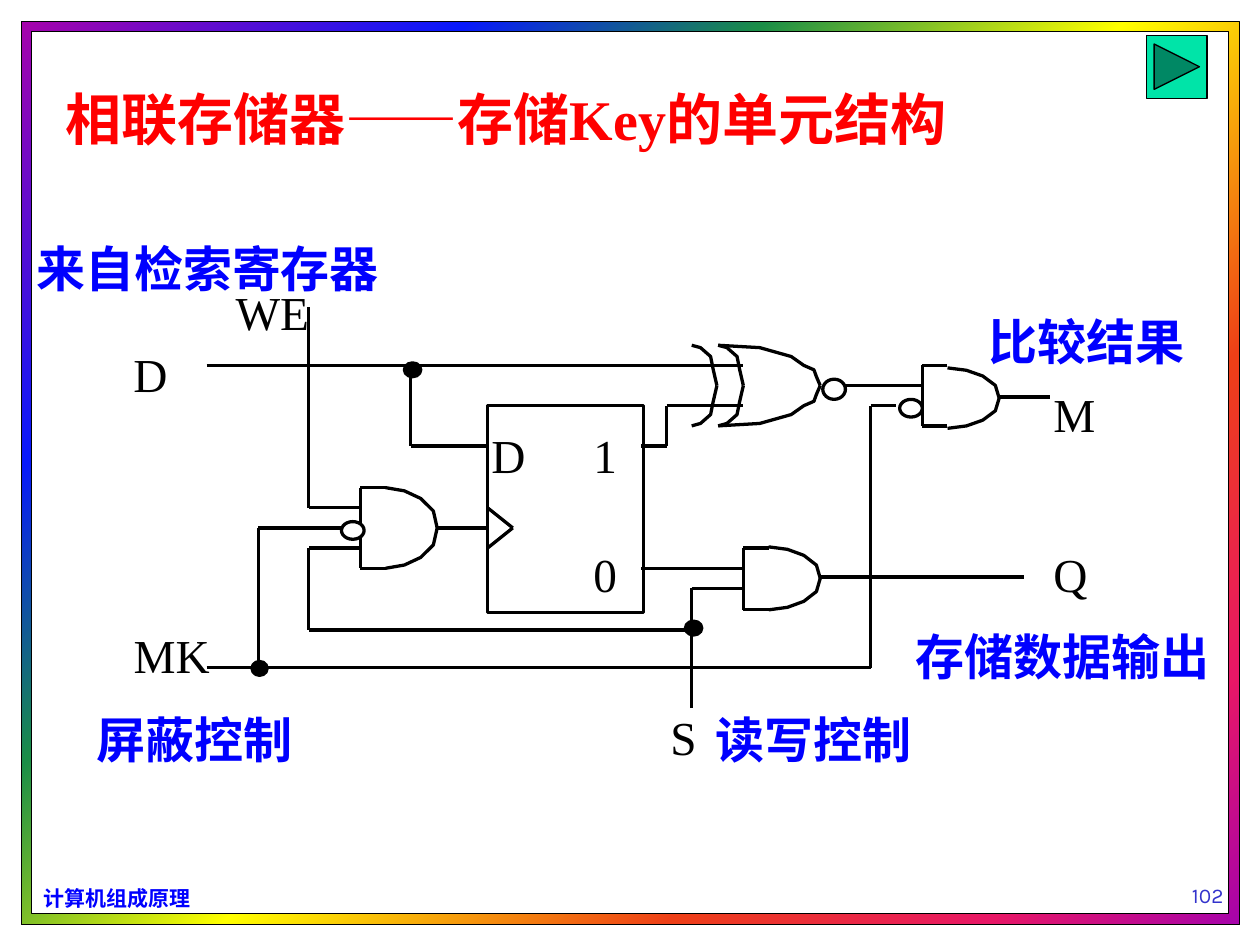
from dataclasses import dataclass

from lxml import etree
from pptx import Presentation
from pptx import util as u
from pptx.dml.color import RGBColor
from pptx.enum import shapes, text
from pptx.oxml.ns import qn

KIND = shapes.MSO_SHAPE
BLACK, WHITE, BLUE, RED = "000000", "FFFFFF", "0000FF", "FF0000"
TIMES = "Times New Roman"
STROKE = 1.88


@dataclass
class Label:
    words: str
    left: float
    top: float
    width: float
    height: float = 0.57
    size: float = 28
    font: str = TIMES
    color: str = BLUE
    bold: bool = True
    inset: float | None = None
    wrap: bool = False
    anchor: text.MSO_ANCHOR = text.MSO_ANCHOR.TOP
    align: text.PP_ALIGN | None = None


@dataclass
class Box:
    kind: shapes.MSO_SHAPE
    left: float
    top: float
    width: float
    height: float
    fill: str | None = None
    line: float = STROKE


@dataclass
class Curve:
    x: float
    mid: float
    half: float
    shape: tuple


AND = ((0, 1), (0.15, 0.92), (0.28, 0.73), (0.38, 0.42), (0.41, 0))
BACK = ((0, 1), (0.07, 0.94), (0.15, 0.72), (0.17, 0.41), (0.2, 0))
FRONT = ((0, 1), (0.33, 0.94), (0.58, 0.72), (0.68, 0.5), (0.76, 0.39),
         (0.78, 0.22), (0.81, 0))

STOPS = ((0, "A603AB"), (21, "0819FB"), (35, "1A8D48"), (52, "FFFF00"),
         (73, "EE3F17"), (88, "E81766"), (100, "A603AB"))

WIRES = [
    [(3.47, 4.19), (3.87, 4.19)],
    [(3.06, 3.87), (2.86, 3.87), (2.86, 4.51), (3.06, 4.51)],
    [(2.45, 2.44), (2.45, 4.03), (2.86, 4.03)],
    [(2.71, 4.19), (2.05, 4.19), (2.05, 5.3)],
    [(2.86, 4.35), (2.45, 4.35), (2.45, 5), (5.49, 5)],
    [(1.64, 2.9), (5.9, 2.9)],
    [(3.26, 2.9), (3.26, 3.54), (3.87, 3.54)],
    [(5.09, 3.54), (5.29, 3.54), (5.29, 3.22), (5.9, 3.22)],
    [(5.09, 4.51), (5.9, 4.51)],
    [(5.49, 5.62), (5.49, 4.67), (5.9, 4.67)],
    [(6.1, 4.35), (5.9, 4.35), (5.9, 4.84), (6.1, 4.84)],
    [(6.51, 4.58), (8.13, 4.58)],
    [(6.71, 3.06), (7.32, 3.06)],
    [(7.52, 2.9), (7.32, 2.9), (7.32, 3.38), (7.52, 3.38)],
    [(7.93, 3.15), (8.33, 3.15)],
    [(1.64, 5.3), (6.91, 5.3), (6.91, 3.22), (7.11, 3.22)],
    [(3.87, 4.03), (4.07, 4.19), (3.87, 4.35)],
]

CURVES = [
    Curve(3.06, 4.19, 0.32, AND),
    Curve(6.1, 4.59, 0.25, AND),
    Curve(7.52, 3.16, 0.24, AND),
    Curve(5.49, 3.06, 0.32, BACK),
    Curve(5.7, 3.06, 0.32, BACK),
    Curve(5.7, 3.06, 0.32, FRONT),
]

BOXES = [
    Box(KIND.RECTANGLE, 3.87, 3.22, 1.24, 1.64),
    Box(KIND.OVAL, 2.71, 4.14, 0.18, 0.14, WHITE),
    Box(KIND.OVAL, 6.53, 3.01, 0.18, 0.16),
    Box(KIND.OVAL, 7.14, 3.17, 0.18, 0.14),
    Box(KIND.OVAL, 3.21, 2.88, 0.13, 0.11, BLACK),
    Box(KIND.OVAL, 5.44, 4.93, 0.13, 0.11, BLACK),
    Box(KIND.OVAL, 2, 5.25, 0.12, 0.11, BLACK),
    Box(KIND.ACTION_BUTTON_FORWARD_OR_NEXT, 9.1, 0.28, 0.48, 0.5,
        "00E4A8", 0.75),
]

PINS = [
    ("0", 4.71, 4.33, 0.35), ("1", 4.71, 3.38, 0.35), ("D", 3.9, 3.38, 0.43),
    ("WE", 1.87, 2.25, 0.76), ("D", 1.06, 2.74, 0.43), ("M", 8.36, 3.06, 0.51),
    ("Q", 8.36, 4.33, 0.46), ("S", 5.32, 5.62, 0.38), ("MK", 1.06, 4.97, 0.81),
]

LABELS = [
    Label("计算机组成原理", 0.25, 6.98, 1.37, 0.3, 12, "Noto Sans CJK SC"),
    Label("102", 9.18, 6.75, 0.81, 0.5, 12, "Karla", "3333CC", False,
          wrap=True, anchor=text.MSO_ANCHOR.BOTTOM, align=text.PP_ALIGN.CENTER),
    Label("相联存储器——存储Key的单元结构", 0.42, 0.5, 9.17, 0.75, 32,
          color=RED, wrap=True, anchor=text.MSO_ANCHOR.BOTTOM),
    Label("比较结果", 7.75, 2.42, 1.76),
    Label("存储数据输出", 7.17, 4.92, 2.55),
    Label("屏蔽控制", 0.67, 5.58, 1.76),
    Label("读写控制", 5.58, 5.58, 1.76),
    Label("来自检索寄存器", 0.19, 1.84, 2.96),
] + [Label(*pin, 0.53, 27, color=BLACK, bold=False, inset=0) for pin in PINS]


def paint(form, color: str) -> None:
    form.solid()
    form.fore_color.rgb = RGBColor.from_string(color)


def ink(line, width: float = STROKE) -> None:
    paint(line.fill, BLACK)
    line.width = u.Pt(width)


def add_box(slide, box: Box):
    form = slide.shapes.add_shape(box.kind, *map(u.Inches, (
        box.left, box.top, box.width, box.height)))
    form.shadow.inherit = False
    if box.fill:
        paint(form.fill, box.fill)
    else:
        form.fill.background()
    ink(form.line, box.line)
    return form


def add_frame(slide) -> None:
    rim = add_box(slide, Box(KIND.RECTANGLE, 0.17, 0.17, 9.67, 7.17, WHITE, 0.75))
    rim.fill.gradient()
    rim.fill.gradient_angle = 315
    stops = rim._element.spPr.find(qn("a:gradFill")).find(qn("a:gsLst"))
    for old in list(stops):
        stops.remove(old)
    for place, color in STOPS:
        stop = etree.SubElement(stops, qn("a:gs"), pos=str(place * 1000))
        etree.SubElement(stop, qn("a:srgbClr"), val=color)
    add_box(slide, Box(KIND.RECTANGLE, 0.25, 0.25, 9.5, 7, WHITE, 0.75))


def add_wire(slide, points: list) -> None:
    for start, end in zip(points, points[1:]):
        wire = slide.shapes.add_connector(
            shapes.MSO_CONNECTOR.STRAIGHT, *map(u.Inches, start + end))
        ink(wire.line)
        etree.SubElement(wire._element.spPr, qn("a:effectLst"))


def add_curve(slide, curve: Curve) -> None:
    for side in (-1, 1):
        points = [(u.Inches(curve.x + dx),
                   u.Inches(curve.mid + side * curve.half * dy))
                  for dx, dy in curve.shape]
        pen = slide.shapes.build_freeform(*points[0])
        pen.add_line_segments(points[1:], close=False)
        arc = pen.convert_to_shape()
        arc.shadow.inherit = False
        arc.fill.background()
        ink(arc.line)


def add_label(slide, label: Label) -> None:
    frame = slide.shapes.add_textbox(*map(u.Inches, (
        label.left, label.top, label.width, label.height))).text_frame
    frame.word_wrap = label.wrap
    frame.vertical_anchor = label.anchor
    if label.inset is not None:
        frame.margin_left = frame.margin_right = u.Inches(label.inset)
        frame.margin_top = frame.margin_bottom = u.Inches(label.inset)
    line = frame.paragraphs[0]
    line.text = label.words
    line.alignment = label.align
    line.font.size = u.Pt(label.size)
    line.font.name = label.font
    line.font.bold = label.bold
    paint(line.font.fill, label.color)


def main() -> None:
    deck = Presentation()
    deck.slide_width, deck.slide_height = u.Inches(10), u.Inches(7.5)
    slide = deck.slides.add_slide(deck.slide_layouts[6])
    add_frame(slide)
    for draw, items in ((add_wire, WIRES), (add_curve, CURVES),
                        (add_box, BOXES), (add_label, LABELS)):
        for item in items:
            draw(slide, item)
    deck.save("out.pptx")


if __name__ == "__main__":
    main()
